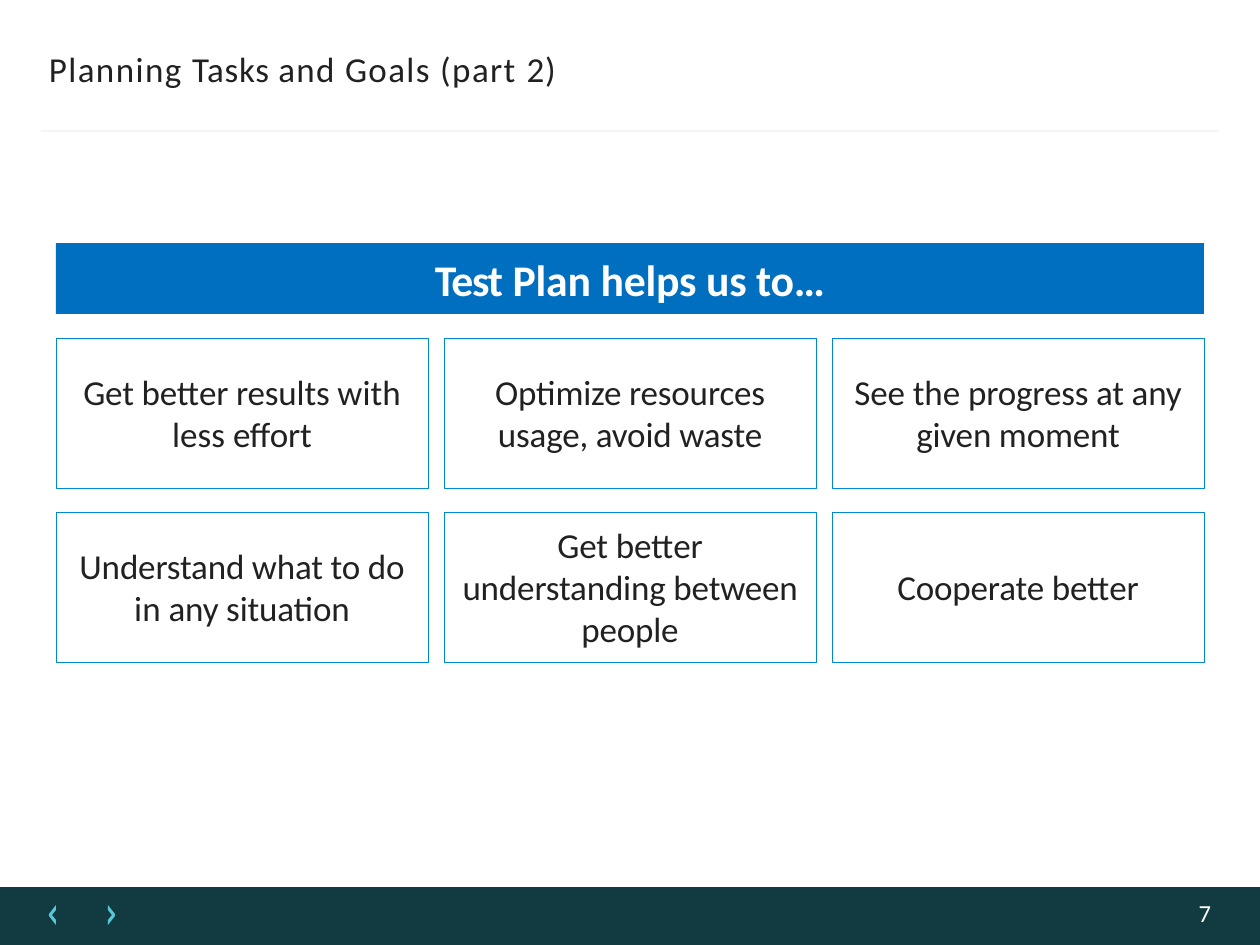
import pptx
import pptx.util
import pptx.dml.color
import pptx.enum.shapes
import pptx.enum.text
import lxml.etree

SCALE = 914400 / 126
COLORS = {
    "footer": "123B41", "arrow": "58C7D6", "rule": "F5F5F5", "ink": "212121",
    "page": "FDFDFD", "banner": "006FC0", "white": "FFFFFF", "border": "0089CF",
}
ALIGN = pptx.enum.text.PP_ALIGN


def px(*lengths):
    return [pptx.util.Emu(round(length * SCALE)) for length in lengths]


def write(shape, paragraphs, size, color, alignment, margin=0, bold=False):
    frame = shape.text_frame
    frame.word_wrap = True
    frame.vertical_anchor = pptx.enum.text.MSO_ANCHOR.MIDDLE
    frame.margin_left, frame.margin_right, frame.margin_top, frame.margin_bottom = px(margin, margin, 0, 0)
    for index, runs in enumerate(paragraphs):
        paragraph = frame.add_paragraph() if index else frame.paragraphs[0]
        paragraph.alignment = alignment
        for text, spacing in runs:
            run = paragraph.add_run()
            run.text = text
            run.font.name = "Calibri"
            run.font.size = pptx.util.Pt(size)
            run.font.bold = bold
            run.font.color.rgb = pptx.dml.color.RGBColor.from_string(COLORS[color])
            run.font._element.set("spc", str(round(spacing * 100)))


presentation = pptx.Presentation()
presentation.slide_width, presentation.slide_height = px(1260, 945)
slide = presentation.slides.add_slide(presentation.slide_layouts[6])
shapes = slide.shapes
rectangle = pptx.enum.shapes.MSO_SHAPE.RECTANGLE

footer = shapes.add_shape(rectangle, *px(0, 887, 1260, 58))
builder = shapes.build_freeform(49, 914, scale=SCALE)
builder.add_line_segments([(49, 916), (56, 925), (56, 920), (52, 915), (56, 910), (56, 905)])
builder.move_to(115, 914)
builder.add_line_segments([(108, 905), (108, 910), (112, 915), (108, 920), (108, 925), (115, 916)])
arrows = builder.convert_to_shape()
banner = shapes.add_shape(rectangle, *px(56, 243, 1148, 71))
for shape, color in [(footer, "footer"), (arrows, "arrow"), (banner, "banner")]:
    shape.shadow.inherit = False
    shape.fill.solid()
    shape.fill.fore_color.rgb = pptx.dml.color.RGBColor.from_string(COLORS[color])
    shape.line.fill.background()

rule = shapes.add_connector(pptx.enum.shapes.MSO_CONNECTOR.STRAIGHT, *px(41, 131, 1219, 131))
rule.line.color.rgb = pptx.dml.color.RGBColor.from_string(COLORS["rule"])
rule.line.width = pptx.util.Pt(1.5)
properties = rule._element.spPr
lxml.etree.SubElement(properties, pptx.oxml.ns.qn("a:effectLst"))

title = shapes.add_textbox(*px(49, 46, 620, 46))
write(title, [[("Planning ", 0.8), ("Tasks ", 0.4), ("and ", 0.7), ("Goals (part ", 0.8), ("2)", 0.5)]],
      20, "ink", ALIGN.LEFT)
page_number = shapes.add_textbox(*px(1181, 899, 30, 28))
write(page_number, [[("7", 0)]], 14, "page", ALIGN.RIGHT)
write(banner, [[("Test", -0.7), (" Plan helps us to…", -0.1)]], 25, "white", ALIGN.CENTER, bold=True)

benefits = [
    [[("Get better results ", -0.1), ("with", 0)], [("less ", 0), ("effort", -0.1)]],
    [[("Optimize resources", -0.1)], [("usage, avoid waste", -0.1)]],
    [[("See ", -0.1), ("the", 0), (" progress at any", -0.1)], [("given moment", -0.1)]],
    [[("Understand what to do", -0.1)], [("in ", 0), ("any situation", -0.1)]],
    [[("Get better understanding between people", -0.1)]],
    [[("Cooperate better", -0.1)]],
]
for index, paragraphs in enumerate(benefits):
    row, column = divmod(index, 3)
    box = shapes.add_shape(rectangle, *px(56 + column * 388, 338 + row * 174, 372, 150))
    box.shadow.inherit = False
    box.fill.background()
    box.line.color.rgb = pptx.dml.color.RGBColor.from_string(COLORS["border"])
    box.line.width = pptx.util.Pt(0.25)
    write(box, paragraphs, 20, "ink", ALIGN.CENTER, margin=12)

presentation.save("out.pptx")
